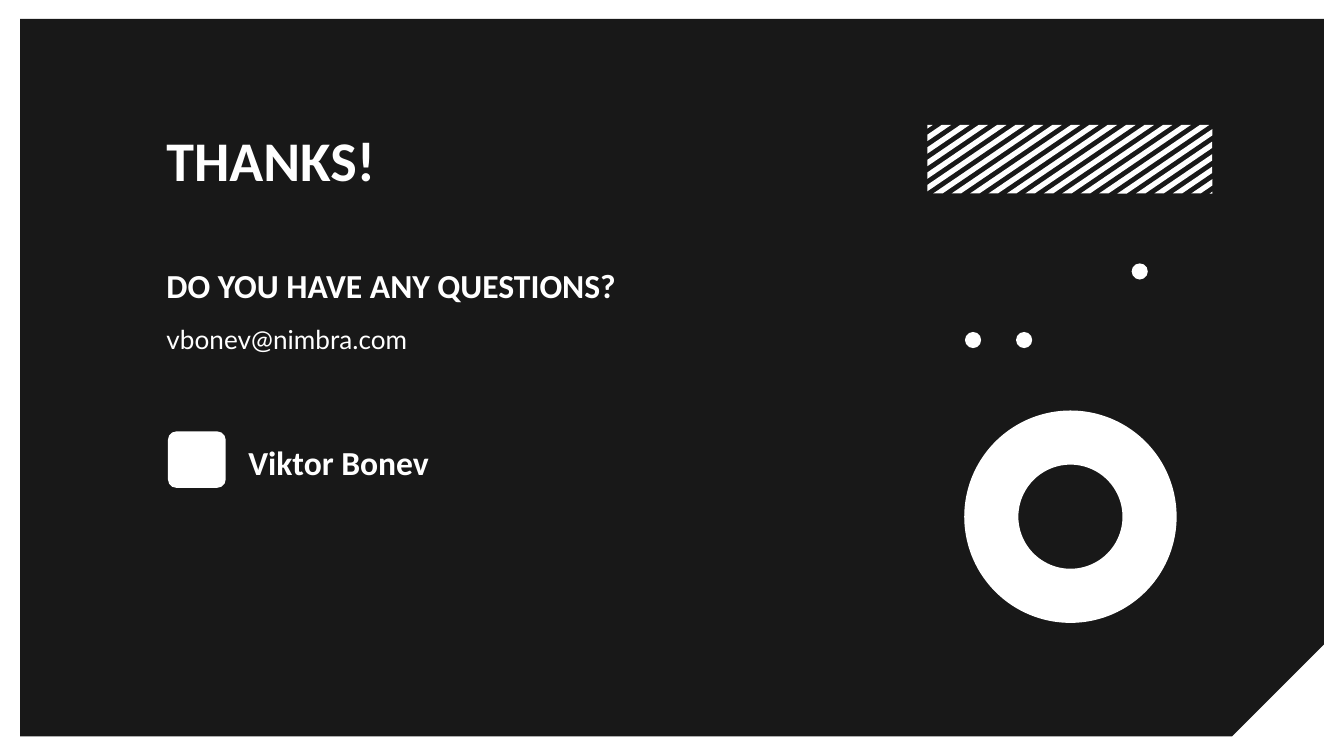
from pptx import Presentation
from pptx.dml.color import RGBColor
from pptx.enum import shapes, text
from pptx.oxml.ns import qn
from pptx.util import Inches, Pt

DARK, WHITE = "181818", "FFFFFF"


def color(hex_value):
    return RGBColor.from_string(hex_value)


def paint(shape, fill):
    shape.shadow.inherit = False
    shape.fill.solid()
    shape.fill.fore_color.rgb = color(fill)
    shape.line.fill.background()
    return shape


def add_preset(parent, preset, left, top, width, height, fill=WHITE):
    shape = parent.add_shape(preset, Inches(left), Inches(top), Inches(width), Inches(height))
    return paint(shape, fill)


def add_text(parent, left, top, width, height, lines):
    """Each line is (words, size, font, bold, space before)."""
    box = parent.add_textbox(Inches(left), Inches(top), Inches(width), Inches(height))
    frame = box.text_frame
    frame.word_wrap = True
    frame.vertical_anchor = text.MSO_ANCHOR.MIDDLE
    frame.margin_left = frame.margin_right = Inches(0.1)
    frame.margin_top = frame.margin_bottom = Inches(0.1)
    for i, (words, size, font, bold, before) in enumerate(lines):
        paragraph = frame.add_paragraph() if i else frame.paragraphs[0]
        if before:
            paragraph.space_before = Pt(before)
        run = paragraph.add_run()
        run.text = words
        run.font.size = Pt(size)
        run.font.name = font
        run.font.bold = bold
        run.font.color.rgb = color(WHITE)


def add_panel(parent, left, top, width, height):
    panel = add_preset(parent, shapes.MSO_SHAPE.SNIP_1_RECTANGLE, left, top, width, height, DARK)
    panel.adjustments[0] = 0.128
    # Bring the cut corner to the bottom right
    panel.rotation = 180
    panel._element.spPr.find(qn("a:xfrm")).set("flipH", "1")


def add_contact(parent, left, top):
    add_text(parent, left, top, 4.69, 0.78, [("THANKS!", 30, "Calibri", True, 0)])
    add_text(parent, left, top + 0.95, 4.25, 1.13, [
        ("DO YOU HAVE ANY QUESTIONS?", 18, "Calibri", True, 0),
        ("vbonev@nimbra.com", 14, "Lato", False, 10),
    ])
    # Plain badge beside the name
    badge = add_preset(parent, shapes.MSO_SHAPE.ROUNDED_RECTANGLE,
                       left + 0.11, top + 2.42, 0.43, 0.42)
    badge.adjustments[0] = 0.15
    add_text(parent, left + 0.61, top + 2.45, 1.77, 0.39,
             [("Viktor Bonev", 18, "Calibri", True, 0)])


def add_stripes(parent, left, top, width, height):
    """Diagonal stripes, each cut off at the edges of the box."""
    count, first, last, thickness, slant = 22, -0.03, 2.85, 0.07, 0.75
    pitch = (last - first) / (count - 1)
    group = parent.add_group_shape()

    def edge_ends(offset):
        offset = min(max(offset, 0), width + slant)
        return [(Inches(left + x), Inches(top + (offset - x) * height / slant))
                for x in (min(offset, width), max(offset - slant, 0))]

    for i in range(count):
        start = first + i * pitch
        upper, lower = edge_ends(start)
        far_upper, far_lower = edge_ends(start + thickness)
        builder = group.shapes.build_freeform(*upper)
        builder.add_line_segments([lower, far_lower, far_upper], close=True)
        paint(builder.convert_to_shape(), WHITE)


def add_ring_and_dots(parent, left, top):
    for x, y in [(1.24, 0), (0.38, 0.51), (0, 0.51)]:
        add_preset(parent, shapes.MSO_SHAPE.OVAL, left + x, top + y, 0.12, 0.12)
    ring = add_preset(parent, shapes.MSO_SHAPE.DONUT, left, top + 1.1, 1.57, 1.57)
    ring.adjustments[0] = 0.25
    ring.line.color.rgb = color(WHITE)
    ring.line.width = Pt(0.75)


def main():
    deck = Presentation()
    # Widescreen, 16 to 9
    deck.slide_width, deck.slide_height = Inches(10), Inches(10 * 9 / 16)
    slide = deck.slides.add_slide(deck.slide_layouts[6])
    parts = slide.shapes

    add_panel(parts, 0.15, 0.14, 9.7, 5.34)
    add_contact(parts, 1.14, 0.79)
    add_ring_and_dots(parts, 7.18, 1.96)
    add_stripes(parts, 6.9, 0.93, 2.12, 0.51)

    deck.save("out.pptx")


if __name__ == "__main__":
    main()
